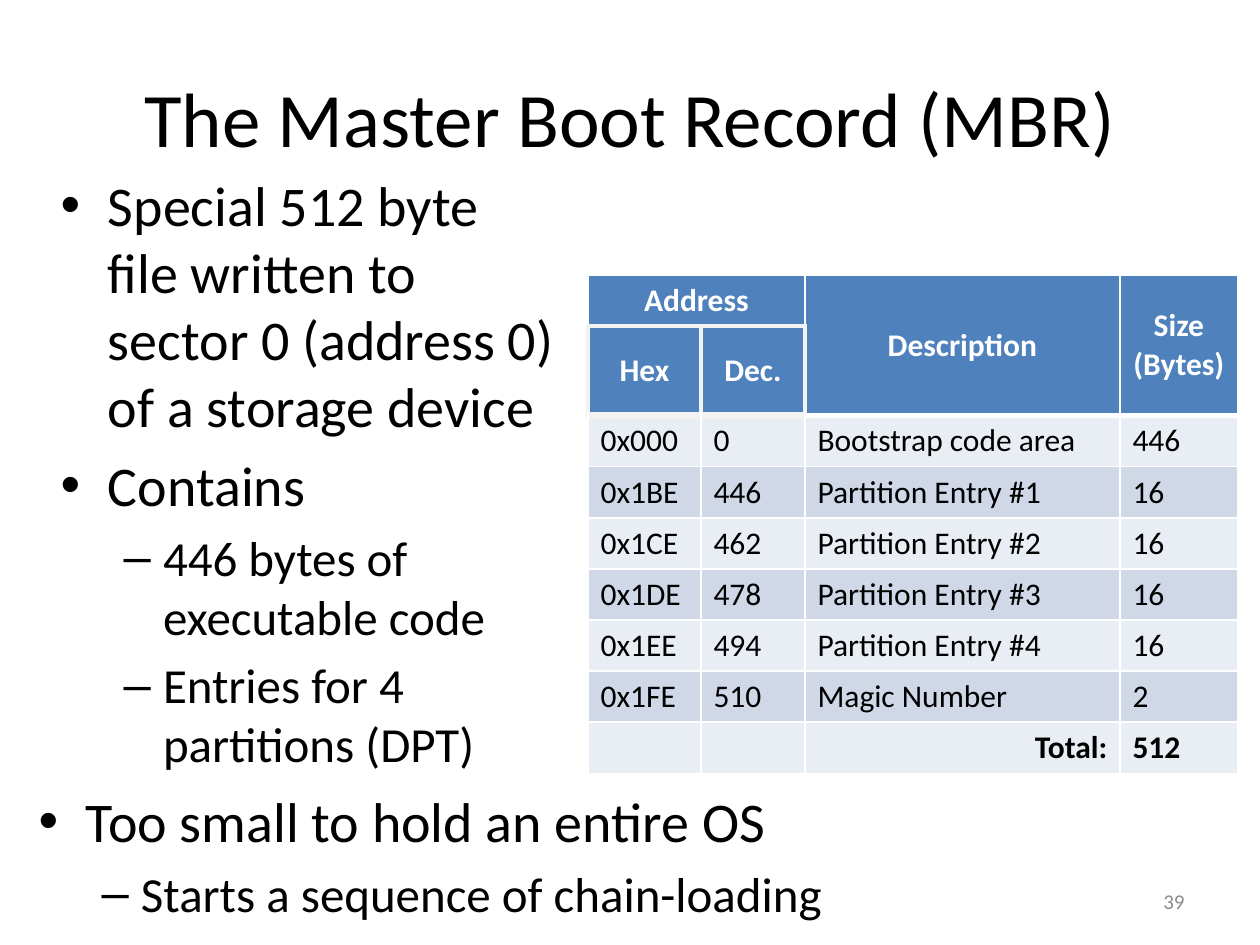
"""Build the Master Boot Record slide with its bullet lists and layout table."""
import pptx
import pptx.util
import pptx.dml.color
import pptx.enum.text
import pptx.oxml
import pptx.oxml.ns

PX = 914400 / 126
COLORS = {"text": "000000", "number": "8C8C8C", "head": "4F81BD", "light": "E9EDF4",
          "dark": "D0D8E8", "white": "FFFFFF", "gray": "F2F2F2"}
ALIGN = pptx.enum.text.PP_ALIGN
MIDDLE = pptx.enum.text.MSO_ANCHOR.MIDDLE


def place(sp, *box):
    sp.left, sp.top, sp.width, sp.height = [round(v * PX) for v in box]


def add_run(p, text, size, color, bold=False):
    r = p.add_run()
    r.text = text
    r.font.name = "Calibri"
    r.font.size = pptx.util.Pt(size)
    r.font.bold = bold
    r.font.color.rgb = pptx.dml.color.RGBColor.from_string(COLORS[color])


prs = pptx.Presentation()
prs.slide_width, prs.slide_height = round(1260 * PX), round(945 * PX)
s = prs.slides.add_slide(prs.slide_layouts[3])

title = s.shapes.title
place(title, 63, 38, 1134, 157)
title.text_frame.vertical_anchor = MIDDLE
p = title.text_frame.paragraphs[0]
p.alignment = ALIGN.CENTER
add_run(p, "The Master Boot Record (MBR)", 44, "text")

rows = [
    ("Address", "", "Description", "Size (Bytes)"),
    ("Hex", "Dec.", "", ""),
    ("0x000", "0", "Bootstrap code area", "446"),
    ("0x1BE", "446", "Partition Entry #1", "16"),
    ("0x1CE", "462", "Partition Entry #2", "16"),
    ("0x1DE", "478", "Partition Entry #3", "16"),
    ("0x1EE", "494", "Partition Entry #4", "16"),
    ("0x1FE", "510", "Magic Number", "2"),
    ("", "", "Total:", "512"),
]
widths = [113, 104, 315, 118]
heights = [48, 48] + [51] * 7
frame = s.shapes.add_table(len(rows), len(widths), 0, 0, 0, 0)
place(frame, 588, 275, sum(widths), sum(heights))
table = frame.table
table.first_row = table.horz_banding = False
for col, width in zip(table.columns, widths):
    col.width = round(width * PX)
for row, height in zip(table.rows, heights):
    row.height = round(height * PX)
table.cell(0, 0).merge(table.cell(0, 1))
table.cell(0, 2).merge(table.cell(1, 2))
table.cell(0, 3).merge(table.cell(1, 3))

for i, texts in enumerate(rows):
    head, total = i < 2, i == len(rows) - 1
    for j, text in enumerate(texts):
        cell = table.cell(i, j)
        borders = dict.fromkeys("LRTB", ("white", 1))
        if j < 2 and i == 0:
            borders["B"] = ("gray", 2.25)
        elif j < 2 and i == 1:
            borders = dict.fromkeys("LRT", ("gray", 2.25)) | {"B": ("gray", 4.5)}
        elif j < 2 and i == 2:
            borders["T"] = ("gray", 4.5)
        elif j >= 2 and head:
            borders["B"] = ("white", 3)
        elif j >= 2 and i == 2:
            borders["T"] = ("white", 3)
        tcPr = cell._tc.get_or_add_tcPr()
        for side, (color, width) in borders.items():
            tcPr.append(pptx.oxml.parse_xml(
                f'<a:ln{side} {pptx.oxml.ns.nsdecls("a")} w="{pptx.util.Pt(width)}">'
                f'<a:solidFill><a:srgbClr val="{COLORS[color]}"/></a:solidFill></a:ln{side}>'))
        fill = "head" if head else "dark" if i % 2 else "light"
        cell.fill.solid()
        cell.fill.fore_color.rgb = pptx.dml.color.RGBColor.from_string(COLORS[fill])
        if head:
            cell.vertical_anchor = MIDDLE
        if text:
            p = cell.text_frame.paragraphs[0]
            p.alignment = (ALIGN.CENTER if head else
                           ALIGN.RIGHT if text == "Total:" else ALIGN.LEFT)
            add_run(p, text, 18, "white" if head else "text", head or total)

number = s.shapes.add_textbox(0, 0, 0, 0)
place(number, 903, 876, 294, 50)
tf = number.text_frame
tf.word_wrap = True
tf.vertical_anchor = MIDDLE
p = tf.paragraphs[0]
p.alignment = ALIGN.RIGHT
add_run(p, "39", 12, "number")

lists = [
    (1, (48, 164, 523, 624), [
        (0, "Special 512 byte file written to sector 0 (address 0) of a storage device"),
        (0, "Contains"),
        (1, "446 bytes of executable code"),
        (1, "Entries for 4 partitions (DPT)"),
    ]),
    (2, (26, 780, 1234, 164), [
        (0, "Too small to hold an entire OS"),
        (1, "Starts a sequence of chain-loading"),
    ]),
]
for idx, box, items in lists:
    sp = s.placeholders[idx]
    place(sp, *box)
    tf = sp.text_frame
    tf.auto_size = pptx.enum.text.MSO_AUTO_SIZE.NONE
    for n, (level, text) in enumerate(items):
        p = tf.add_paragraph() if n else tf.paragraphs[0]
        p.level = level
        if n == 0:
            p.space_before = pptx.util.Pt(0)
        add_run(p, text, 28 if level else 32, "text")

prs.save("out.pptx")
